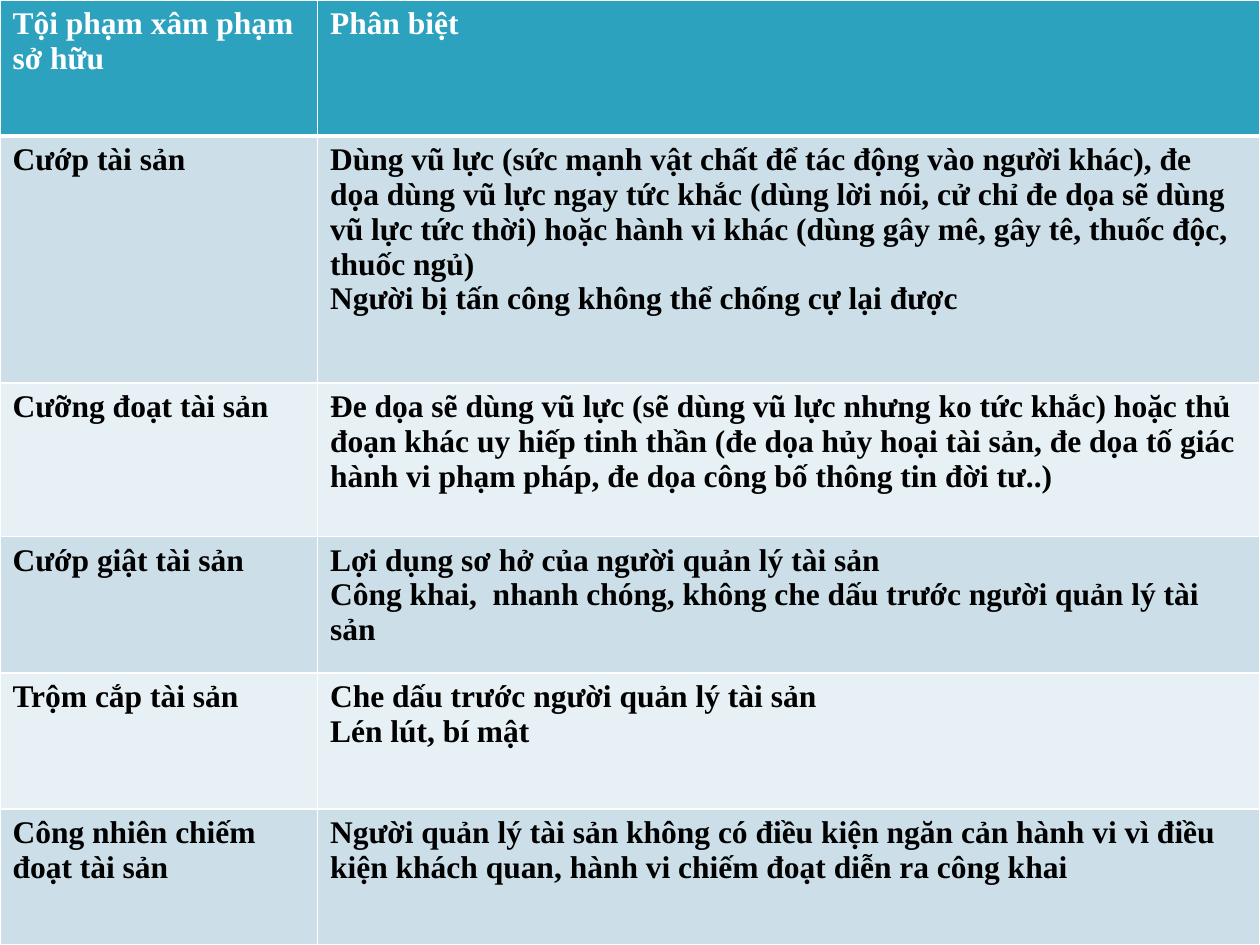
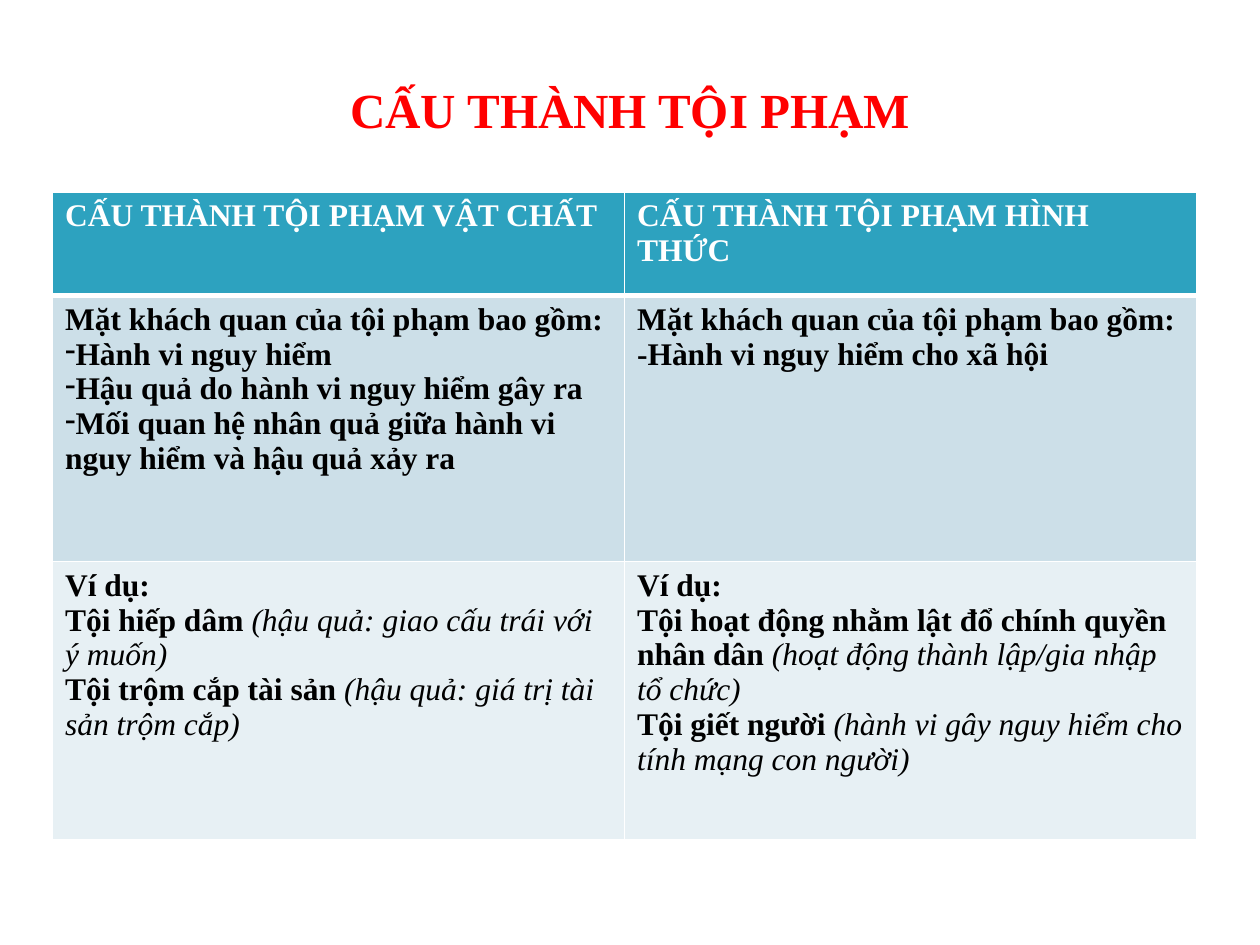
"""Build two slides of law tables that compare kinds of crime."""
from dataclasses import dataclass

from lxml.etree import SubElement
from pptx import Presentation
from pptx.dml.color import RGBColor
from pptx.enum.text import PP_ALIGN
from pptx.oxml.ns import qn
from pptx.util import Pt


@dataclass(frozen=True)
class Theme:
    font: str = "Times New Roman"
    title: str = "FF0000"
    head: str = "2DA2BF"
    bands: tuple = ("CCDFE8", "E7F0F4")
    light: str = "FFFFFF"
    dark: str = "000000"
    large: int = 28
    body: int = 18
    thin: int = 1
    thick: int = 3
    hang: float = -8.64


class Deck:
    def __init__(self, theme):
        self.theme = theme
        self.file = Presentation()
        self.file.slide_width, self.file.slide_height = Pt(720), Pt(540)
        self.slide = None

    def page(self):
        self.slide = self.file.slides.add_slide(self.file.slide_layouts[6])

    def style(self, run, size, color, bold=True):
        font = run.font
        font.name, font.size = self.theme.font, Pt(size)
        font.bold, font.italic = bold, not bold
        font.color.rgb = RGBColor.from_string(color)

    def title(self, text, left, top, width, height):
        frame = self.slide.shapes.add_textbox(
            Pt(left), Pt(top), Pt(width), Pt(height)).text_frame
        frame.word_wrap = True
        frame.text = text
        para = frame.paragraphs[0]
        para.alignment = PP_ALIGN.CENTER
        self.style(para.runs[0], self.theme.large, self.theme.title)

    def bullet(self, para):
        props = para._p.get_or_add_pPr()
        props.set("marL", "0")
        props.set("indent", str(Pt(self.theme.hang)))
        tint = SubElement(props, qn("a:buClr"))
        SubElement(tint, qn("a:srgbClr"), val=self.theme.dark)
        SubElement(props, qn("a:buFontTx"))
        SubElement(props, qn("a:buChar"), char="-")

    def border(self, cell, row):
        props = cell._tc.get_or_add_tcPr()
        bold = {0: "B", 1: "T"}.get(row)
        for side in "LRTB":
            size = self.theme.thick if side == bold else self.theme.thin
            line = SubElement(props, qn("a:ln" + side), w=str(Pt(size)))
            fill = SubElement(line, qn("a:solidFill"))
            SubElement(fill, qn("a:srgbClr"), val=self.theme.light)

    def prose(self, frame, lines, color):
        for index, line in enumerate(lines):
            para = frame.add_paragraph() if index else frame.paragraphs[0]
            main, _, aside = line.partition("|")
            para.text = main.removeprefix("* ")
            self.style(para.runs[0], self.theme.body, color)
            if aside:
                run = para.add_run()
                run.text = aside
                self.style(run, self.theme.body, color, bold=False)
            if main.startswith("* "):
                self.bullet(para)

    def table(self, left, top, widths, heights, rows):
        theme = self.theme
        grid = self.slide.shapes.add_table(
            len(heights), len(widths), Pt(left), Pt(top),
            Pt(sum(widths)), Pt(sum(heights))).table
        grid.horz_banding = False
        for col, width in zip(grid.columns, widths):
            col.width = Pt(width)
        for index, (height, texts) in enumerate(zip(heights, rows)):
            grid.rows[index].height = Pt(height)
            fill = theme.bands[(index - 1) % 2] if index else theme.head
            color = theme.dark if index else theme.light
            for place, lines in enumerate(texts):
                cell = grid.cell(index, place)
                self.border(cell, index)
                cell.fill.solid()
                cell.fill.fore_color.rgb = RGBColor.from_string(fill)
                self.prose(cell.text_frame, lines, color)


CRIMES = [
    (["Tội phạm xâm phạm  sở hữu"], ["Phân biệt"]),
    (["Cướp tài sản"],
     ["Dùng vũ lực (sức mạnh vật chất để tác động vào người khác), đe dọa "
      "dùng vũ lực ngay tức khắc (dùng lời nói, cử chỉ đe dọa sẽ dùng vũ lực "
      "tức thời) hoặc hành vi khác (dùng gây mê, gây tê, thuốc độc, "
      "thuốc ngủ)",
      "Người bị tấn công không thể chống cự lại được"]),
    (["Cưỡng đoạt tài sản"],
     ["Đe dọa sẽ dùng vũ lực (sẽ dùng vũ lực nhưng ko tức khắc) hoặc thủ "
      "đoạn khác uy hiếp tinh thần (đe dọa hủy hoại tài sản, đe dọa tố giác "
      "hành vi phạm pháp, đe dọa công bố thông tin đời tư..)"]),
    (["Cướp giật tài sản"],
     ["Lợi dụng sơ hở của người quản lý tài sản",
      "Công khai,  nhanh chóng, không che dấu trước người quản lý tài sản"]),
    (["Trộm cắp tài sản"],
     ["Che dấu trước người quản lý tài sản", "Lén lút, bí mật"]),
    (["Công nhiên chiếm đoạt tài sản"],
     ["Người quản lý tài sản không có điều kiện ngăn cản hành vi vì điều "
      "kiện khách quan, hành vi chiếm đoạt diễn ra công khai"]),
]

SCOPE = "Mặt khách quan của tội phạm bao gồm:"
CASE = "Ví dụ:"
FORMS = [
    (["CẤU THÀNH TỘI PHẠM VẬT CHẤT"], ["CẤU THÀNH TỘI PHẠM HÌNH THỨC"]),
    ([SCOPE,
      "* Hành vi nguy hiểm",
      "* Hậu quả do hành vi nguy hiểm gây ra",
      "* Mối quan hệ nhân quả giữa hành vi nguy hiểm và hậu quả xảy ra"],
     [SCOPE, "-Hành vi nguy hiểm cho xã hội"]),
    ([CASE,
      "Tội hiếp dâm |(hậu quả: giao cấu trái với ý muốn)",
      "Tội trộm cắp tài sản |(hậu quả: giá trị tài sản trộm cắp)"],
     [CASE,
      "Tội hoạt động nhằm lật đổ chính quyền nhân dân "
      "|(hoạt động thành lập/gia nhập tổ chức)",
      "Tội giết người |(hành vi gây nguy hiểm cho tính mạng con người)"]),
]


def main():
    deck = Deck(Theme())
    deck.page()
    small = 77.76
    deck.table(0, 0, [181.44, 538.56],
               [small, 141.12, 87.84] + [small] * 3, CRIMES)
    deck.page()
    deck.title("CẤU THÀNH TỘI PHẠM", 54, 42, 612, 41)
    deck.table(30, 110, [326.88] * 2, [59, 152, 159], FORMS)
    deck.file.save("out.pptx")


if __name__ == "__main__":
    main()
